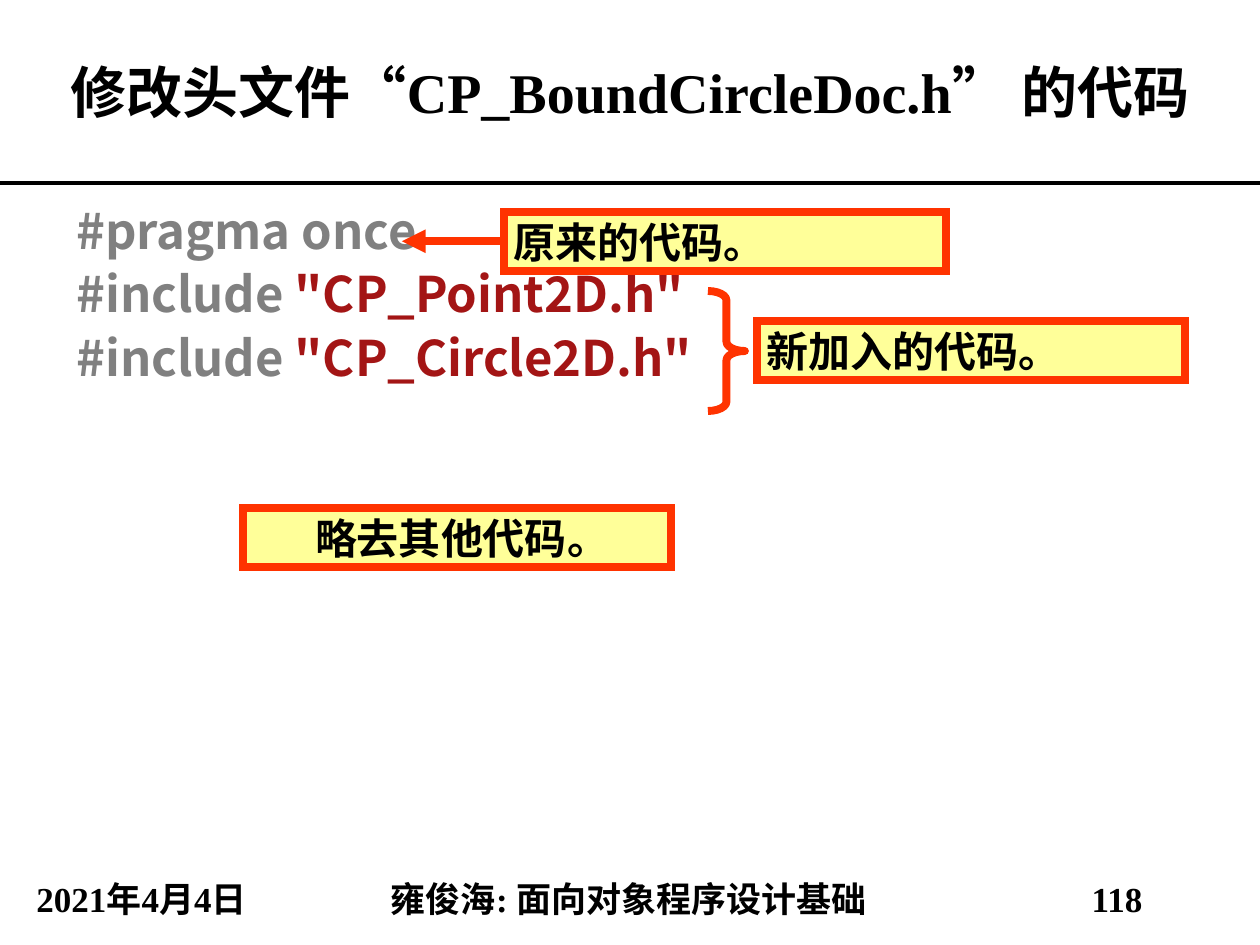
"""Build the slide that shows the edited header file CP_BoundCircleDoc.h."""
from dataclasses import dataclass

from lxml import etree
from pptx import Presentation
from pptx.dml.color import RGBColor
from pptx.enum.shapes import MSO_CONNECTOR, MSO_SHAPE
from pptx.enum.text import MSO_ANCHOR, PP_ALIGN
from pptx.oxml.ns import qn
from pptx.util import Emu, Pt

SCALE = 914400 / 126
BLACK = RGBColor(0x00, 0x00, 0x00)
GRAY = RGBColor(0x80, 0x80, 0x80)
DARK_RED = RGBColor(0xA3, 0x15, 0x15)
ORANGE = RGBColor(0xFF, 0x33, 0x00)
YELLOW = RGBColor(0xFF, 0xFF, 0x99)
LATIN_FONT = "Times New Roman"
CJK_FONT = "Noto Sans CJK SC"
LEFT, CENTER, JUSTIFY = PP_ALIGN.LEFT, PP_ALIGN.CENTER, PP_ALIGN.JUSTIFY
TOP, MIDDLE = MSO_ANCHOR.TOP, MSO_ANCHOR.MIDDLE
RECTANGLE, CALLOUT = MSO_SHAPE.RECTANGLE, MSO_SHAPE.LINE_CALLOUT_1
BRACE = MSO_SHAPE.RIGHT_BRACE
STRAIGHT = MSO_CONNECTOR.STRAIGHT


@dataclass(frozen=True)
class Box:
    left: int
    top: int
    width: int
    height: int


@dataclass(frozen=True)
class Label:
    text: str
    box: Box
    size: int = 20
    line_spacing: float = 0.9


@dataclass(frozen=True)
class Note:
    text: str
    box: Box
    alignment: PP_ALIGN = LEFT
    kind: MSO_SHAPE = RECTANGLE
    adjustments: tuple[float, ...] = ()


LABELS = (
    Label("修改头文件“CP_BoundCircleDoc.h” 的代码", Box(0, 0, 1260, 183), 32, 1.0),
    Label("2021年4月4日", Box(0, 876, 283, 50)),
    Label("雍俊海: 面向对象程序设计基础", Box(283, 876, 692, 50)),
    Label("118", Box(975, 876, 284, 50)),
)
CODE_BOX = Box(64, 200, 1133, 675)
CODE_LINES = (
    (("#pragma once", GRAY),),
    (("#include ", GRAY), ('"CP_Point2D.h"', DARK_RED)),
    (("#include ", GRAY), ('"CP_Circle2D.h"', DARK_RED)),
)
BRACE_BOX = Box(708, 291, 37, 120)
NOTES = (
    Note("新加入的代码。", Box(757, 321, 428, 59)),
    Note("原来的代码。", Box(504, 212, 442, 59), LEFT, CALLOUT,
         (0.496, -0.007, 0.496, -0.231)),
    Note("略去其他代码。", Box(243, 508, 428, 59), CENTER),
)


def px(length: int) -> Emu:
    return Emu(round(length * SCALE))


def place(box: Box) -> tuple[Emu, ...]:
    return px(box.left), px(box.top), px(box.width), px(box.height)


def format_run(run, size: int, color: RGBColor = BLACK, name: str = LATIN_FONT) -> None:
    run.font.size = Pt(size)
    run.font.bold = True
    run.font.color.rgb = color
    run.font.name = name
    east_asian = etree.SubElement(run.font._element, qn("a:ea"))
    east_asian.set("typeface", CJK_FONT)


def add_text_frame(slide, box: Box, anchor: MSO_ANCHOR):
    text_frame = slide.shapes.add_textbox(*place(box)).text_frame
    text_frame.word_wrap = True
    text_frame.vertical_anchor = anchor
    return text_frame


def add_label(slide, label: Label) -> None:
    text_frame = add_text_frame(slide, label.box, MIDDLE)
    text_frame.text = label.text
    paragraph = text_frame.paragraphs[0]
    paragraph.alignment = CENTER
    paragraph.line_spacing = label.line_spacing
    format_run(paragraph.runs[0], label.size)


def add_code(slide) -> None:
    text_frame = add_text_frame(slide, CODE_BOX, TOP)
    text_frame.margin_top = 0
    for index, pieces in enumerate(CODE_LINES):
        paragraph = text_frame.add_paragraph() if index else text_frame.paragraphs[0]
        paragraph.alignment = JUSTIFY
        if index:
            paragraph.space_before = Pt(2.8)
        for text, color in pieces:
            run = paragraph.add_run()
            run.text = text
            format_run(run, 28, color, CJK_FONT)


def add_outlined(slide, kind: MSO_SHAPE, box: Box, adjustments: tuple[float, ...] = ()):
    shape = slide.shapes.add_shape(kind, *place(box))
    shape.shadow.inherit = False
    shape.line.color.rgb = ORANGE
    shape.line.width = Pt(4.5)
    for index, value in enumerate(adjustments):
        shape.adjustments[index] = value
    return shape


def add_note(slide, note: Note) -> None:
    shape = add_outlined(slide, note.kind, note.box, note.adjustments)
    shape.fill.solid()
    shape.fill.fore_color.rgb = YELLOW
    line = shape.line._get_or_add_ln()
    etree.SubElement(line, qn("a:miter")).set("lim", "800000")
    if note.kind == CALLOUT:
        etree.SubElement(line, qn("a:tailEnd")).set("type", "triangle")
    text_frame = shape.text_frame
    text_frame.word_wrap = True
    text_frame.vertical_anchor = MIDDLE
    text_frame.margin_left = px(10)
    text_frame.margin_top = text_frame.margin_right = text_frame.margin_bottom = 0
    text_frame.text = note.text
    paragraph = text_frame.paragraphs[0]
    paragraph.alignment = note.alignment
    format_run(paragraph.runs[0], 24)


def add_title_rule(slide) -> None:
    rule = slide.shapes.add_connector(STRAIGHT, px(0), px(183), px(1260), px(183))
    rule.line.color.rgb = BLACK
    rule.line.width = Pt(2.25)
    etree.SubElement(rule._element.spPr, qn("a:effectLst"))


def main() -> None:
    presentation = Presentation()
    presentation.slide_width = px(1260)
    presentation.slide_height = px(945)
    slide = presentation.slides.add_slide(presentation.slide_layouts[6])
    for label in LABELS:
        add_label(slide, label)
    add_code(slide)
    add_title_rule(slide)
    add_outlined(slide, BRACE, BRACE_BOX, (0.25, 0.5)).fill.background()
    for note in NOTES:
        add_note(slide, note)
    presentation.save("out.pptx")


if __name__ == "__main__":
    main()
